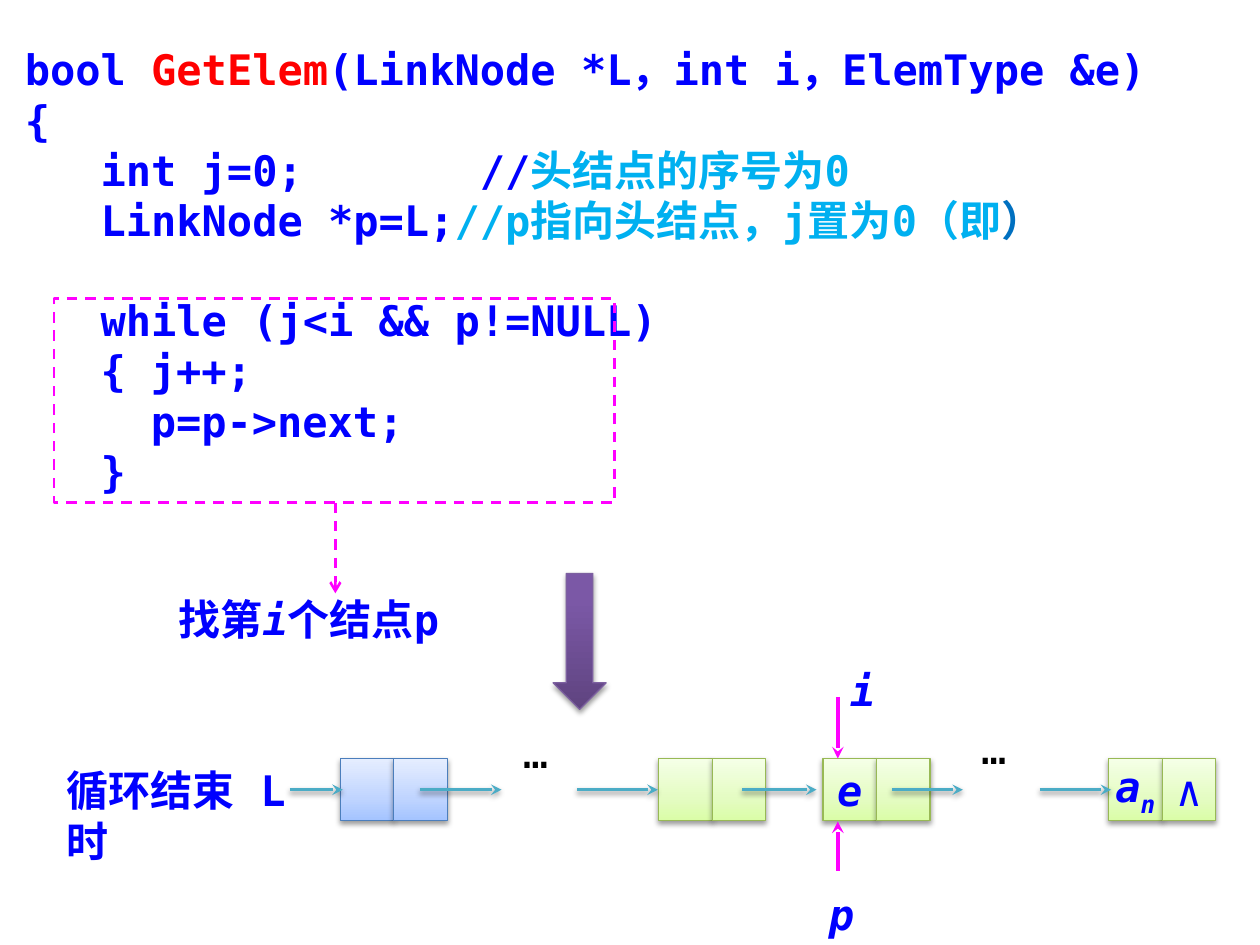
import lxml.etree
import pptx
import pptx.dml.color
import pptx.enum.dml
import pptx.enum.shapes
import pptx.enum.text
import pptx.oxml
import pptx.oxml.ns
import pptx.util

Cm = pptx.util.Cm
Pt = pptx.util.Pt
RGB = pptx.dml.color.RGBColor.from_string
SHAPE = pptx.enum.shapes.MSO_SHAPE
DASH = pptx.enum.dml.MSO_LINE.DASH
qn = pptx.oxml.ns.qn

COLORS = {
    "code": "0000FF", "name": "FF0000", "comment": "00B0F0", "bracket": "0070C0",
    "black": "000000", "white": "FFFFFF", "mark": "FF00FF", "link": "4BACC6",
    "head_line": "4B7EBC", "node_line": "98B955", "step_line": "7D60A0",
}
HEAD_FILL = [(0, "A4C4FF"), (35, "BFD4FF"), (100, "E6EEFF")]
NODE_FILL = [(0, "DAFDA7"), (35, "E4FCC2"), (100, "F5FFE7")]
STEP_FILL = [(0, "5F4480"), (80, "7B58A6"), (100, "7C57A8")]
FONT = "DejaVu Sans Mono"
NAMESPACE = 'xmlns:a="http://schemas.openxmlformats.org/drawingml/2006/main"'
SHADOW = (
    f'<a:effectLst {NAMESPACE}><a:outerShdw blurRad="39400" dist="20300" dir="5400000" rotWithShape="0">'
    '<a:srgbClr val="000000"><a:alpha val="38000"/></a:srgbClr></a:outerShdw></a:effectLst>'
)
NO_SHADOW = f"<a:effectLst {NAMESPACE}/>"

presentation = pptx.Presentation()
presentation.slide_width = Cm(25.4)
presentation.slide_height = Cm(19.05)
slide = presentation.slides.add_slide(presentation.slide_layouts[6])
shapes = slide.shapes


def add_block(kind, left, top, width, height, stops, line_color):
    """Add a shape with a vertical gradient, a thin outline and a soft shadow."""
    block = shapes.add_shape(kind, Cm(left), Cm(top), Cm(width), Cm(height))
    block.line.color.rgb = RGB(COLORS[line_color])
    block.line.width = Pt(0.75)
    stop_xml = "".join(
        f'<a:gs pos="{position * 1000}"><a:srgbClr val="{color}"/></a:gs>' for position, color in stops)
    properties = block._element.spPr
    properties.find(qn("a:prstGeom")).addnext(pptx.oxml.parse_xml(
        f'<a:gradFill {NAMESPACE} rotWithShape="1"><a:gsLst>{stop_xml}</a:gsLst>'
        '<a:lin ang="16200000" scaled="0"/></a:gradFill>'))
    properties.append(pptx.oxml.parse_xml(SHADOW))
    return block


def add_arrow(start, end, color, width, head="stealth", effect=NO_SHADOW):
    arrow = shapes.add_connector(
        pptx.enum.shapes.MSO_CONNECTOR.STRAIGHT, Cm(start[0]), Cm(start[1]), Cm(end[0]), Cm(end[1]))
    arrow.line.color.rgb = RGB(COLORS[color])
    arrow.line.width = Pt(width)
    if head == "arrow":
        arrow.line.dash_style = DASH
    properties = arrow._element.spPr
    lxml.etree.SubElement(properties.get_or_add_ln(), qn("a:tailEnd"), type=head)
    properties.append(pptx.oxml.parse_xml(effect))


# Code listing
code_lines = [
    [("bool ", "code"), ("GetElem", "name"), ("(LinkNode *L，int i，ElemType &e)", "code")],
    [("{", "code")],
    [("   int j=0;       //", "code"), ("头结点的序号为0", "comment")],
    [("   LinkNode *p=L;", "code"), ("//p指向头结点，j置为0（即", "comment"), ("）", "bracket")],
    [("   while (j<i && p!=NULL)", "code")],
    [("   {\tj++;", "code")],
    [("\tp=p->next;", "code")],
    [("   }", "code")],
]
LOOP_START = 4
code_box = shapes.add_shape(SHAPE.RECTANGLE, Cm(0), Cm(0.58), Cm(24.82), Cm(10.87))
code_box.shadow.inherit = False
code_box.fill.solid()
code_box.fill.fore_color.rgb = RGB(COLORS["white"])
code_box.line.fill.background()
frame = code_box.text_frame
frame.word_wrap = True
frame.vertical_anchor = pptx.enum.text.MSO_ANCHOR.TOP
frame.margin_left = Cm(0.5)
frame.margin_top = frame.margin_bottom = Cm(0.3)
for number, code_line in enumerate(code_lines):
    paragraph = frame.paragraphs[0] if number == 0 else frame.add_paragraph()
    paragraph.alignment = pptx.enum.text.PP_ALIGN.LEFT
    if number == LOOP_START:
        paragraph.space_before = Pt(28)
    tabs = lxml.etree.SubElement(paragraph._p.get_or_add_pPr(), qn("a:tabLst"))
    lxml.etree.SubElement(tabs, qn("a:tab"), pos=str(Cm(2.54)), algn="l")
    paragraph.font.name = FONT
    paragraph.font.size = Pt(24)
    paragraph.font.bold = True
    for text, color in code_line:
        run = paragraph.add_run()
        run.text = text
        run.font.color.rgb = RGB(COLORS[color])

# Frame around the loop
loop_frame = shapes.add_shape(SHAPE.RECTANGLE, Cm(1.09), Cm(6.02), Cm(11.3), Cm(4.11))
loop_frame.shadow.inherit = False
loop_frame.fill.background()
loop_frame.line.color.rgb = RGB(COLORS["mark"])
loop_frame.line.width = Pt(1.5)
loop_frame.line.dash_style = DASH
add_arrow((6.76, 10.13), (6.76, 11.96), "mark", 1.5, head="arrow")

add_block(SHAPE.DOWN_ARROW, 11.15, 11.56, 1.07, 2.74, STEP_FILL, "step_line")

# Linked list: each node is a data cell and a pointer cell
CELL_WIDTH, CELL_HEIGHT, NODE_TOP, LINK_Y = 1.08, 1.25, 15.29, 15.92
nodes = [
    (6.86, HEAD_FILL, "head_line", ["", ""]),
    (13.28, NODE_FILL, "node_line", ["", ""]),
    (16.59, NODE_FILL, "node_line", ["e", ""]),
    (22.35, NODE_FILL, "node_line", ["an", "∧"]),
]
for left, stops, line_color, cell_texts in nodes:
    for column, text in enumerate(cell_texts):
        cell = add_block(SHAPE.RECTANGLE, left + column * CELL_WIDTH, NODE_TOP,
                         CELL_WIDTH, CELL_HEIGHT, stops, line_color)
        if not text:
            continue
        cell.text_frame.word_wrap = False
        paragraph = cell.text_frame.paragraphs[0]
        paragraph.alignment = pptx.enum.text.PP_ALIGN.CENTER
        paragraph.font.name = FONT
        paragraph.font.size = Pt(24)
        paragraph.font.bold = paragraph.font.italic = column == 0
        paragraph.font.color.rgb = RGB(COLORS["code"])
        for position, letter in enumerate(text):
            run = paragraph.add_run()
            run.text = letter
            if position == 1:
                run._r.get_or_add_rPr().set("baseline", "-25000")

links = [(5.84, 6.91), (8.46, 10.11), (11.63, 13.26), (14.96, 16.46), (17.98, 19.41), (20.96, 22.4)]
for start, end in links:
    add_arrow((start, LINK_Y), (end, LINK_Y), "link", 2, effect=SHADOW)
add_arrow((16.89, 14.05), (16.89, NODE_TOP), "mark", 2.25)
add_arrow((16.89, 17.55), (16.89, 16.56), "mark", 2.25)

# Labels: left, top, width, height, colour, runs of (text, italic)
labels = [
    (3.35, 11.84, 6.83, 1.27, "code", [("找第", False), ("i", True), ("个结点p", False)]),
    (1.09, 15.29, 4.5, 2.31, "code", [("循环结束时", False)]),
    (5, 15.29, 0.79, 1.27, "code", [("L", False)]),
    (10.29, 14.53, 2.13, 1.27, "black", [("…", False)]),
    (19.53, 14.45, 2.13, 1.27, "black", [("…", False)]),
    (16.89, 13.28, 1.07, 1.27, "code", [("i", True)]),
    (16.46, 17.78, 1.07, 1.27, "code", [("p", True)]),
]
for left, top, width, height, color, runs in labels:
    label = shapes.add_textbox(Cm(left), Cm(top), Cm(width), Cm(height))
    label.text_frame.word_wrap = True
    paragraph = label.text_frame.paragraphs[0]
    paragraph.font.name = FONT
    paragraph.font.size = Pt(24)
    paragraph.font.bold = color == "code"
    paragraph.font.color.rgb = RGB(COLORS[color])
    for text, italic in runs:
        run = paragraph.add_run()
        run.text = text
        run.font.italic = italic

presentation.save("out.pptx")
